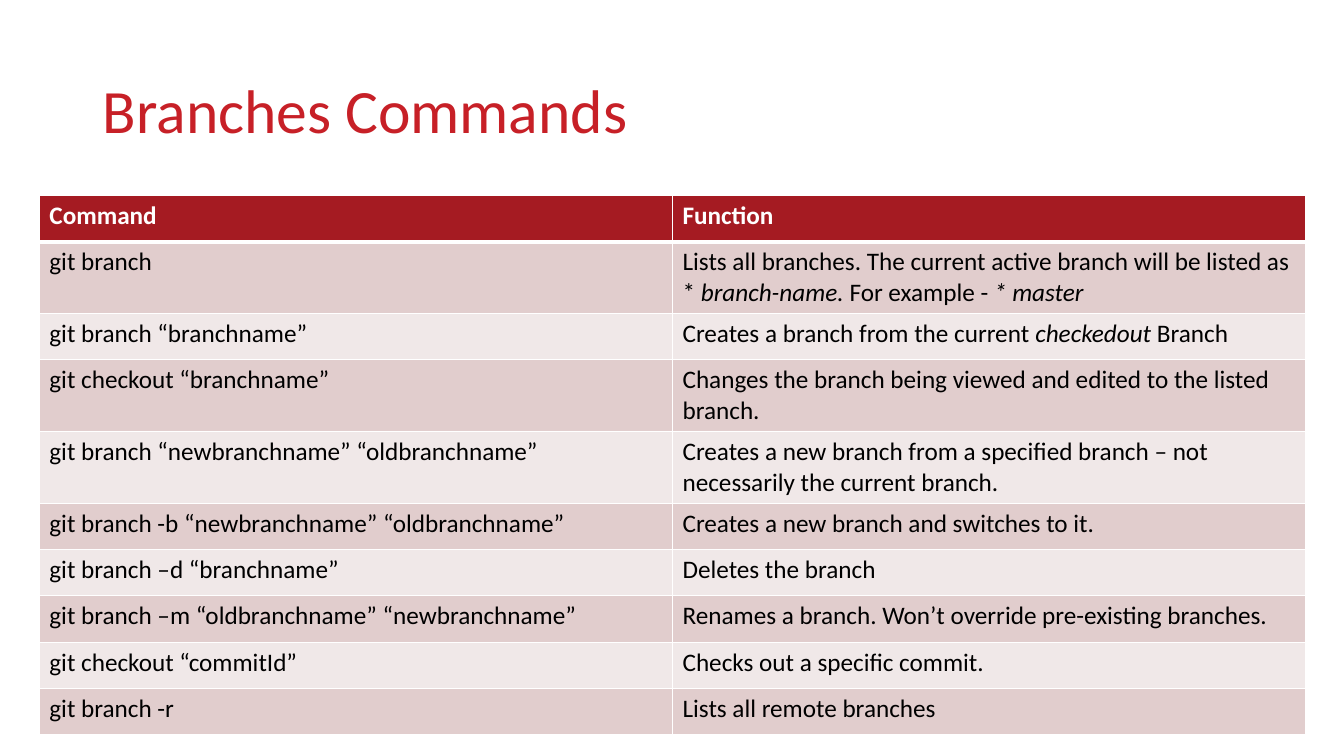
import pptx
import pptx.util
import pptx.dml.color
import pptx.enum.text
import pptx.oxml.ns
import lxml.etree

TITLE = "Branches Commands"
HEAD = ("Command", "Function")
ROWS = [
    ("git branch", [
        ("Lists all branches. The current active branch will be listed as * ", False),
        ("branch-name. ", True), ("For example - ", False), ("* master", True)]),
    ("git branch “branchname”", [
        ("Creates a branch from the current ", False),
        ("checkedout ", True), ("Branch", False)]),
    ("git checkout “branchname”",
     "Changes the branch being viewed and edited to the listed branch."),
    ("git branch “newbranchname” “oldbranchname”",
     "Creates a new branch from a specified branch – not necessarily the current branch."),
    ("git branch -b “newbranchname” “oldbranchname”",
     "Creates a new branch and switches to it."),
    ("git branch –d “branchname”", "Deletes the branch"),
    ("git branch –m “oldbranchname” “newbranchname”",
     "Renames a branch. Won’t override pre-existing branches."),
    ("git checkout “commitId”", "Checks out a specific commit."),
    ("git branch -r", "Lists all remote branches"),
]
TALL = {1, 3, 4}
COLORS = {"title": "C72027", "head": "A51B22", "odd": "E1CDCD",
          "even": "F0E8E8", "line": "FFFFFF", "text": "000000"}
FONT = "Calibri"
Inches = pptx.util.Inches
Pt = pptx.util.Pt


def color(name):
    return pptx.dml.color.RGBColor.from_string(COLORS[name])


def style(para, size, name):
    para.font.name = FONT
    para.font.size = Pt(size)
    para.font.color.rgb = color(name)


def border(cell, row):
    props = cell._tc.get_or_add_tcPr()
    qn = pptx.oxml.ns.qn
    for side in "LRTB":
        thick = (row, side) in {(0, "B"), (1, "T")}
        line = lxml.etree.SubElement(props, qn("a:ln" + side),
                                     w=str(int(Pt(3 if thick else 1))))
        fill = lxml.etree.SubElement(line, qn("a:solidFill"))
        lxml.etree.SubElement(fill, qn("a:srgbClr"), val=COLORS["line"])


def put(cell, row, text):
    border(cell, row)
    cell.fill.solid()
    cell.fill.fore_color.rgb = color("head" if row == 0 else "odd" if row % 2 else "even")
    para = cell.text_frame.paragraphs[0]
    for part, slant in [(text, False)] if isinstance(text, str) else text:
        run = para.add_run()
        run.text = part
        if slant:
            run.font.italic = True
    style(para, 18, "text" if row else "line")
    para.font.bold = row == 0


def main():
    deck = pptx.Presentation()
    deck.slide_width, deck.slide_height = Inches(13.33), Inches(7.5)
    slide = deck.slides.add_slide(deck.slide_layouts[5])

    title = slide.shapes.title
    title.left, title.top = Inches(0.92), Inches(0.4)
    title.width, title.height = Inches(9.88), Inches(1.45)
    title.text_frame.text = TITLE
    title.text_frame.vertical_anchor = pptx.enum.text.MSO_ANCHOR.MIDDLE
    para = title.text_frame.paragraphs[0]
    para.alignment = pptx.enum.text.PP_ALIGN.LEFT
    para.line_spacing = 0.9
    style(para, 44, "title")

    lines = [HEAD] + ROWS
    table = slide.shapes.add_table(len(lines), len(HEAD), Inches(0.39), Inches(1.94),
                                   Inches(12.56), Inches(5.34)).table
    for row, texts in enumerate(lines):
        table.rows[row].height = Inches(0.68 if row in TALL else 0.46)
        for col, text in enumerate(texts):
            put(table.cell(row, col), row, text)

    deck.save("out.pptx")


if __name__ == "__main__":
    main()
